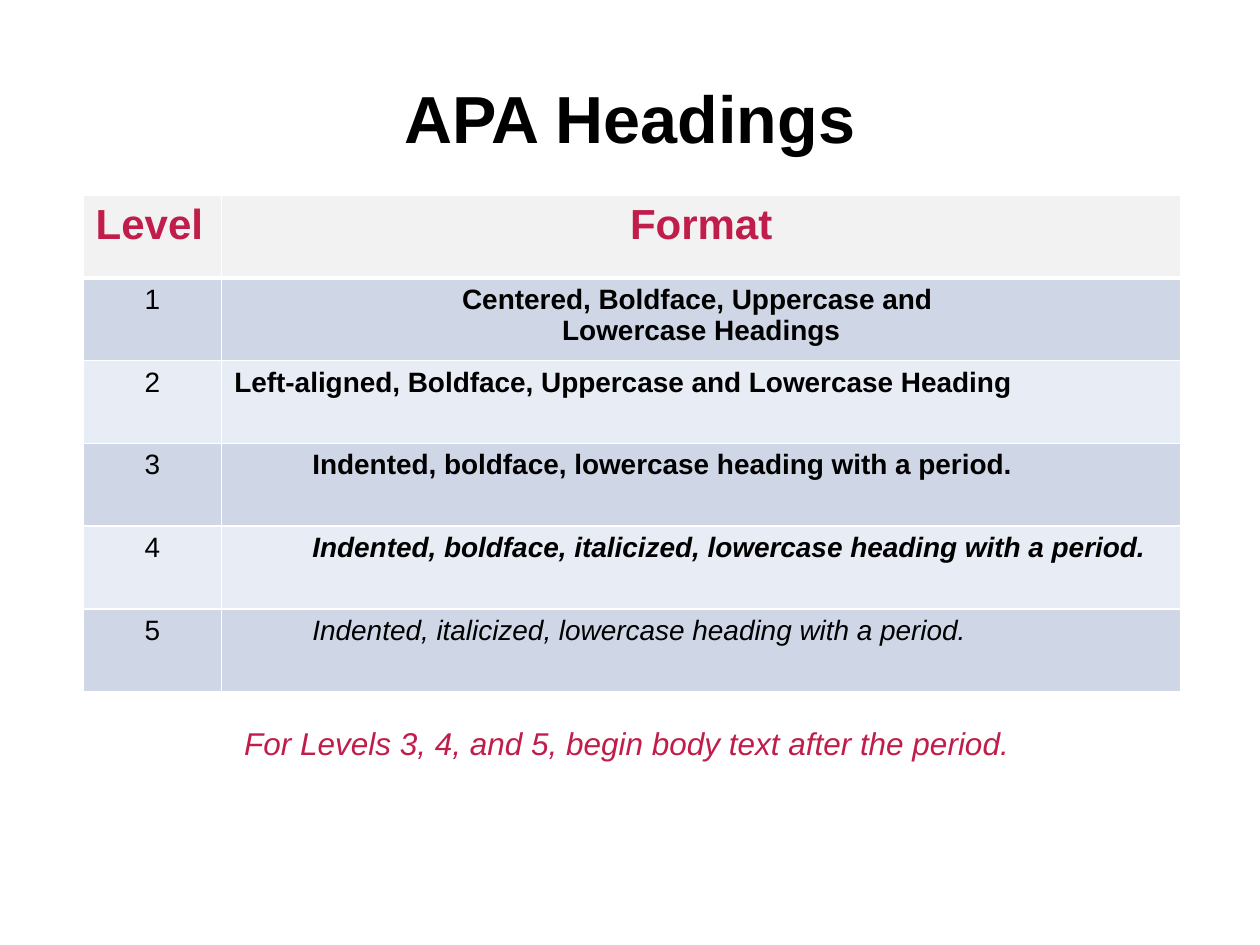
from lxml import etree
from pptx import Presentation
from pptx.dml.color import RGBColor
from pptx.enum.text import MSO_ANCHOR, PP_ALIGN
from pptx.oxml.ns import qn
from pptx.util import Inches, Pt

LEFT, CENTER = PP_ALIGN.LEFT, PP_ALIGN.CENTER
MIDDLE = MSO_ANCHOR.MIDDLE
COLORS = {"black": "000000", "red": "C01D4B", "white": "FFFFFF",
          "header": "F2F2F2", "odd": "CFD7E7", "even": "E8ECF4"}
INDENT = 0.62
BOLD, ITALIC = {"bold": True}, {"italic": True}
LEVELS = [
    ("Centered, Boldface, Uppercase and \nLowercase Headings", CENTER, 0, BOLD),
    ("Left-aligned, Boldface, Uppercase and Lowercase Heading", LEFT, 0, BOLD),
    ("Indented, boldface, lowercase heading with a period.", LEFT, INDENT, BOLD),
    ("Indented, boldface, italicized, lowercase heading with a period.",
     LEFT, INDENT, BOLD | ITALIC),
    ("Indented, italicized, lowercase heading with a period.", LEFT, INDENT, ITALIC),
]


def write(tf, text, size, color="black", align=CENTER, style=None):
    """Fill a text frame, one paragraph per line of text."""
    tf.text = text
    font = {"name": "Arial", "size": Pt(size), "bold": False, "italic": False}
    for p in tf.paragraphs:
        p.alignment = align
        for r in p.runs:
            for key, value in (font | (style or {})).items():
                setattr(r.font, key, value)
            r.font.color.rgb = RGBColor.from_string(COLORS[color])


def format_cell(cell, fill, top=1, bottom=1):
    """Give a cell its fill and white borders of the given point widths."""
    cell.fill.solid()
    cell.fill.fore_color.rgb = RGBColor.from_string(COLORS[fill])
    tc_pr = cell._tc.get_or_add_tcPr()
    borders = {"a:lnL": 1, "a:lnR": 1, "a:lnT": top, "a:lnB": bottom}
    for i, (tag, width) in enumerate(borders.items()):
        ln = etree.Element(qn(tag), w=str(Pt(width)))
        solid = etree.SubElement(ln, qn("a:solidFill"))
        etree.SubElement(solid, qn("a:srgbClr"), val=COLORS["white"])
        tc_pr.insert(i, ln)


def add_title(s, x, y, w, h):
    """Place and format the title placeholder."""
    sp = s.shapes.title
    box = {"left": x, "top": y, "width": w, "height": h}
    for key, value in box.items():
        setattr(sp, key, Inches(value))
    sp.text_frame.vertical_anchor = MIDDLE
    write(sp.text_frame, "APA Headings", 38, style=BOLD)


def add_levels_table(s, x, y, w, h):
    """Add the table of heading levels and their formats."""
    table = s.shapes.add_table(len(LEVELS) + 1, 2, Inches(x), Inches(y),
                               Inches(w), Inches(h)).table
    level_width = 1.1
    table.columns[0].width = Inches(level_width)
    table.columns[1].width = Inches(w - level_width)
    for cell, text, align in zip(table.rows[0].cells, ("Level ", "Format"), (LEFT, CENTER)):
        format_cell(cell, "header", bottom=3)
        write(cell.text_frame, text, 24, "red", align, BOLD)
    for i, (text, align, indent, style) in enumerate(LEVELS, 1):
        for cell in table.rows[i].cells:
            format_cell(cell, "odd" if i % 2 else "even", top=3 if i == 1 else 1)
        level, sample = table.rows[i].cells
        write(level.text_frame, str(i), 16)
        sample.margin_left = Inches(0.1 + indent)
        write(sample.text_frame, text, 16, align=align, style=style)


def add_note(s, x, y, w, h):
    """Add the note below the table."""
    tf = s.shapes.add_textbox(Inches(x), Inches(y), Inches(w), Inches(h)).text_frame
    tf.word_wrap = True
    write(tf, "For Levels 3, 4, and 5, begin body text after the period. ", 18, "red",
          style=ITALIC)


def main():
    """Build the slide and save it."""
    prs = Presentation()
    prs.slide_width, prs.slide_height = Inches(10), Inches(7.5)
    s = prs.slides.add_slide(prs.slide_layouts[5])
    add_title(s, 0.5, 0.3, 9, 1.25)
    add_levels_table(s, 0.66, 1.55, 8.71, 3.94)
    add_note(s, 1.71, 5.7, 6.6, 0.71)
    prs.save("out.pptx")


if __name__ == "__main__":
    main()
